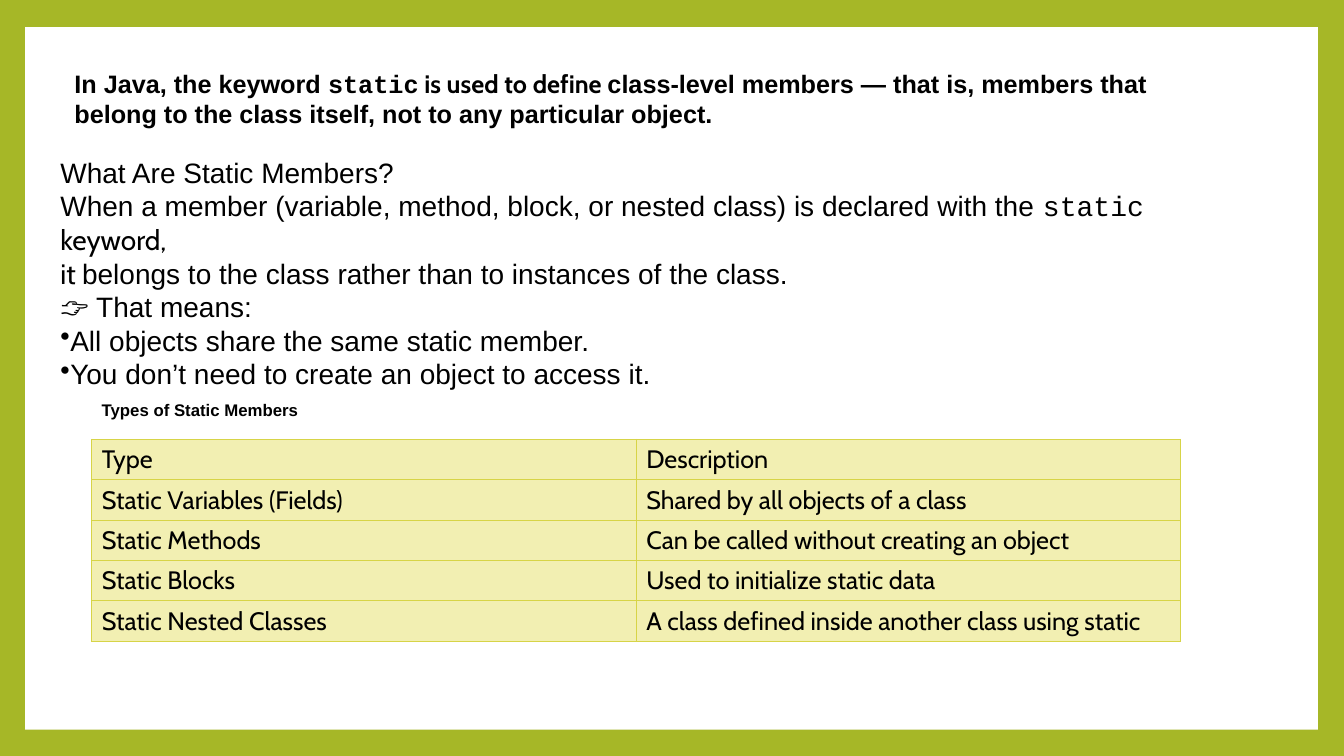
from lxml import etree
from pptx import Presentation
from pptx import util as u
from pptx.dml.color import RGBColor
from pptx.enum import shapes, text
from pptx.oxml.ns import qn

THEME = {
    "frame": "A6B727", "panel": "FFFFFF", "ink": "000000",
    "cell": "F2EFB2", "rule": "D7D447", "rule_width": 0.79,
    "sans": "Arial", "humanist": "Cabin", "code": "Courier New",
    "intro": 18, "body": 20, "caption": 12, "table": 18,
}

INTRO = [[
    ("In Java, the keyword ", "sans"),
    ("static", "code"),
    (" is used to define ", "humanist"),
    ("class-level members — that is, members that belong to the class itself, "
     "not to any particular object.", "sans"),
]]
EXPLANATION = [
    [("What Are Static Members?", "sans")],
    [
        ("When a member (variable, method, block, or nested class) "
         "is declared with the ", "sans"),
        ("static", "code"),
        (" keyword,\nit ", "humanist"),
        ("belongs to the class rather than to instances of the class.", "sans"),
    ],
    [("👉 That means:", "sans")],
]
BENEFITS = [
    [("All objects share the same static member.", "sans")],
    [("You don’t need to create an object to access it.", "sans")],
]
CAPTION = [[("Types of Static Members", "sans")]]
MEMBER_TYPES = [
    ("Type", "Description"),
    ("Static Variables (Fields)", "Shared by all objects of a class"),
    ("Static Methods", "Can be called without creating an object"),
    ("Static Blocks", "Used to initialize static data"),
    ("Static Nested Classes", "A class defined inside another class using static"),
]

PANEL_AT = (0.25, 0.27, 12.82, 6.97)
INTRO_AT = (0.64, 0.62, 11.5, 0.71)
BODY_AT = (0.5, 1.54, 11.79, 2.46)
CAPTION_AT = (0.91, 3.97, 12.42, 0.5)
TABLE_AT = (0.91, 4.36, 10.8, 2)


def color(name):
    return RGBColor.from_string(THEME[name])


def inches(place):
    return [u.Inches(length) for length in place]


def add_span(para, words, face, size, bold=False):
    for index, line in enumerate(words.split("\n")):
        if index:
            para.add_line_break()
        span = para.add_run()
        span.text = line
        span.font.name = THEME[face]
        span.font.size = u.Pt(THEME[size])
        span.font.bold = bold
        span.font.color.rgb = color("ink")


def add_bullet(para):
    etree.SubElement(para._p.get_or_add_pPr(), qn("a:buChar"), char="•")


def add_text(page, place, paragraphs, size, bold=False, bullets_from=None):
    box = page.shapes.add_textbox(*inches(place))
    frame = box.text_frame
    frame.word_wrap = True
    frame.margin_top = frame.margin_bottom = 0
    for index, spans in enumerate(paragraphs):
        para = frame.add_paragraph() if index else frame.paragraphs[0]
        if bullets_from is not None and index >= bullets_from:
            add_bullet(para)
        for words, face in spans:
            add_span(para, words, face, size, bold)
    return frame


def add_borders(cell):
    properties = cell._tc.get_or_add_tcPr()
    width = str(u.Pt(THEME["rule_width"]))
    for side in ("lnL", "lnR", "lnT", "lnB"):
        line = etree.SubElement(properties, qn(f"a:{side}"), w=width)
        fill = etree.SubElement(line, qn("a:solidFill"))
        etree.SubElement(fill, qn("a:srgbClr"), val=THEME["rule"])


def add_member_table(page):
    rows, columns = len(MEMBER_TYPES), len(MEMBER_TYPES[0])
    table = page.shapes.add_table(rows, columns, *inches(TABLE_AT)).table
    table.first_row = table.horz_banding = False
    for row, entries in enumerate(MEMBER_TYPES):
        for column, words in enumerate(entries):
            cell = table.cell(row, column)
            cell.vertical_anchor = text.MSO_ANCHOR.MIDDLE
            add_borders(cell)
            cell.fill.solid()
            cell.fill.fore_color.rgb = color("cell")
            add_span(cell.text_frame.paragraphs[0], words, "humanist", "table")


def main():
    deck = Presentation()
    deck.slide_width, deck.slide_height = u.Inches(13.33), u.Inches(7.5)
    page = deck.slides.add_slide(deck.slide_layouts[6])
    page.background.fill.solid()
    page.background.fill.fore_color.rgb = color("frame")

    panel = page.shapes.add_shape(shapes.MSO_SHAPE.RECTANGLE, *inches(PANEL_AT))
    panel.shadow.inherit = False
    panel.fill.solid()
    panel.fill.fore_color.rgb = color("panel")
    panel.line.fill.background()

    intro = add_text(page, INTRO_AT, INTRO, "intro", bold=True)
    intro.vertical_anchor = text.MSO_ANCHOR.MIDDLE
    add_text(page, BODY_AT, EXPLANATION + BENEFITS, "body",
             bullets_from=len(EXPLANATION))
    add_member_table(page)
    add_text(page, CAPTION_AT, CAPTION, "caption", bold=True)
    deck.save("out.pptx")


if __name__ == "__main__":
    main()
